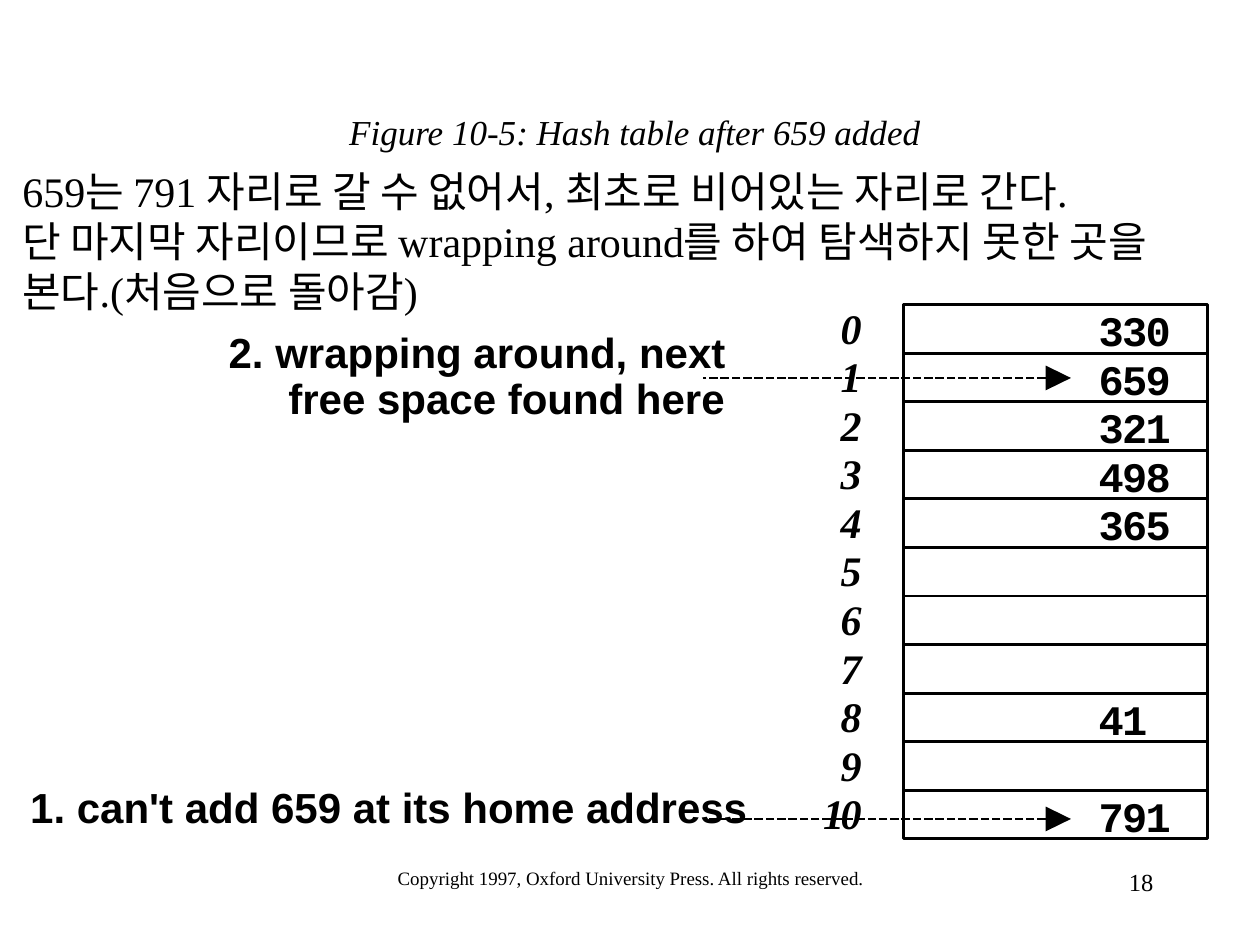
from dataclasses import dataclass

from lxml import etree
from pptx import Presentation
from pptx.dml.color import RGBColor
from pptx.enum.dml import MSO_LINE
from pptx.enum.shapes import MSO_CONNECTOR, MSO_SHAPE
from pptx.enum.text import MSO_ANCHOR, PP_ALIGN
from pptx.oxml.ns import qn
from pptx.util import Cm, Pt

LEFT, CENTER, RIGHT = PP_ALIGN.LEFT, PP_ALIGN.CENTER, PP_ALIGN.RIGHT
TOP, MIDDLE = MSO_ANCHOR.TOP, MSO_ANCHOR.MIDDLE
STRAIGHT, RECT, DASH = MSO_CONNECTOR.STRAIGHT, MSO_SHAPE.RECTANGLE, MSO_LINE.SQUARE_DOT


@dataclass(frozen=True)
class Theme:
    ink: RGBColor = RGBColor(0, 0, 0)
    serif: str = "Times New Roman"
    sans: str = "Arial"
    mono: str = "Courier New"
    title: float = 20
    body: float = 24
    number: float = 14
    footer: float = 10.8
    rule: float = 1.62


THEME = Theme()
SLOTS = [330, 659, 321, 498, 365, None, None, None, 41, None, 791]


def add_text(slide, box, text, size, font, bold=False, italic=False,
             align=LEFT, anchor=TOP, inset=(0, 0), spacing=0):
    """Text box; spacing is letter spacing in hundredths of a point."""
    sp = slide.shapes.add_textbox(*map(Cm, box))
    tf = sp.text_frame
    tf.word_wrap = True
    tf.vertical_anchor = anchor
    tf.margin_left = tf.margin_right = Cm(inset[0])
    tf.margin_top = tf.margin_bottom = Cm(inset[1])
    tf.text = text
    for p in tf.paragraphs:
        p.alignment = align
        for r in p.runs:
            r.font.size, r.font.name = Pt(size), font
            r.font.bold, r.font.italic = bold, italic
            r.font.color.rgb = THEME.ink
            if spacing:
                r.font._element.set("spc", str(spacing))


def add_line(slide, x1, y1, x2, y2, dash=None):
    line = slide.shapes.add_connector(STRAIGHT, Cm(x1), Cm(y1), Cm(x2), Cm(y2))
    line.line.color.rgb = THEME.ink
    line.line.width = Pt(THEME.rule)
    if dash:
        line.line.dash_style = dash
    etree.SubElement(line._element.spPr, qn("a:effectLst"))


def add_dashed_arrow(slide, x, y, width):
    """Dashed line to the right that ends in a solid triangle."""
    head, half = 0.51, 0.25
    neck = x + width - head
    add_line(slide, neck, y, x, y, DASH)
    fb = slide.shapes.build_freeform(Cm(neck), Cm(y - half))
    fb.add_line_segments([(Cm(x + width), Cm(y)), (Cm(neck), Cm(y + half))])
    sp = fb.convert_to_shape()
    sp.shadow.inherit = False
    sp.fill.solid()
    sp.fill.fore_color.rgb = THEME.ink
    sp.line.fill.background()


def add_hash_table(slide, x, y, width, height):
    """Framed column of slots with their indexes on the left."""
    row = height / len(SLOTS)
    for i, value in enumerate(SLOTS):
        top = y + i * row
        add_text(slide, (x - 2.84, top - 0.05, 2, 1.02), str(i), THEME.body,
                 THEME.serif, True, True, RIGHT, spacing=-200 if i > 9 else 0)
        if value is not None:
            add_text(slide, (x + 3.94, top, 2, 1.02), str(value), THEME.body,
                     THEME.mono, True, spacing=-100)
        if i:
            add_line(slide, x, top, x + width, top)
    frame = slide.shapes.add_shape(RECT, Cm(x), Cm(y), Cm(width), Cm(height))
    frame.shadow.inherit = False
    frame.fill.background()
    frame.line.color.rgb = THEME.ink
    frame.line.width = Pt(THEME.rule)


def add_heading(slide, x, y, width):
    """Figure title and the explanation below it."""
    add_text(slide, (x + 1.27, y, 22.66, 3.18),
             "Figure 10-5: Hash table after 659 added", THEME.title,
             THEME.serif, italic=True, align=CENTER, anchor=MIDDLE)
    add_text(slide, (x, y + 2.13, width, 3.3),
             "659는 791 자리로 갈 수 없어서, 최초로 비어있는 자리로 간다.\n"
             "단 마지막 자리이므로 wrapping around를 하여 탐색하지 못한 곳을 "
             "본다.(처음으로 돌아감)",
             THEME.body, THEME.serif, inset=(0.25, 0.13))


def add_steps(slide, x, y):
    """Probe steps with arrows to the slots they reach."""
    steps = [(4, 0, "2. wrapping around, next"),
             (4.97, 0.92, " free space found here"),
             (0, 9.17, "1. can't add 659 at its home address")]
    for dx, dy, text in steps:
        add_text(slide, (x + dx, y + dy, 15.3, 1.02), text, THEME.body,
                 THEME.sans, True)
    for dy in (1.04, 9.93):
        add_dashed_arrow(slide, x + 13.56, y + dy, 7.42)


def add_footer(slide, x, y):
    """Copyright line and slide number."""
    inset = (0.25, 0.13)
    add_text(slide, (x, y, 10.59, 1.27),
             "Copyright 1997, Oxford University Press. All rights reserved.",
             THEME.footer, THEME.serif, align=CENTER, inset=inset)
    add_text(slide, (x + 10.8, y, 5.28, 1.27), "18", THEME.number,
             THEME.serif, align=RIGHT, inset=inset)


def main():
    prs = Presentation()
    prs.slide_width, prs.slide_height = Cm(25.4), Cm(19.05)
    slide = prs.slides.add_slide(prs.slide_layouts[6])
    add_footer(slide, 7.42, 17.35)
    add_heading(slide, 0.2, 1.07, 24.69)
    add_hash_table(slide, 18.21, 6.14, 6.13, 10.77)
    add_steps(slide, 0.61, 6.58)
    prs.save("out.pptx")


if __name__ == "__main__":
    main()
